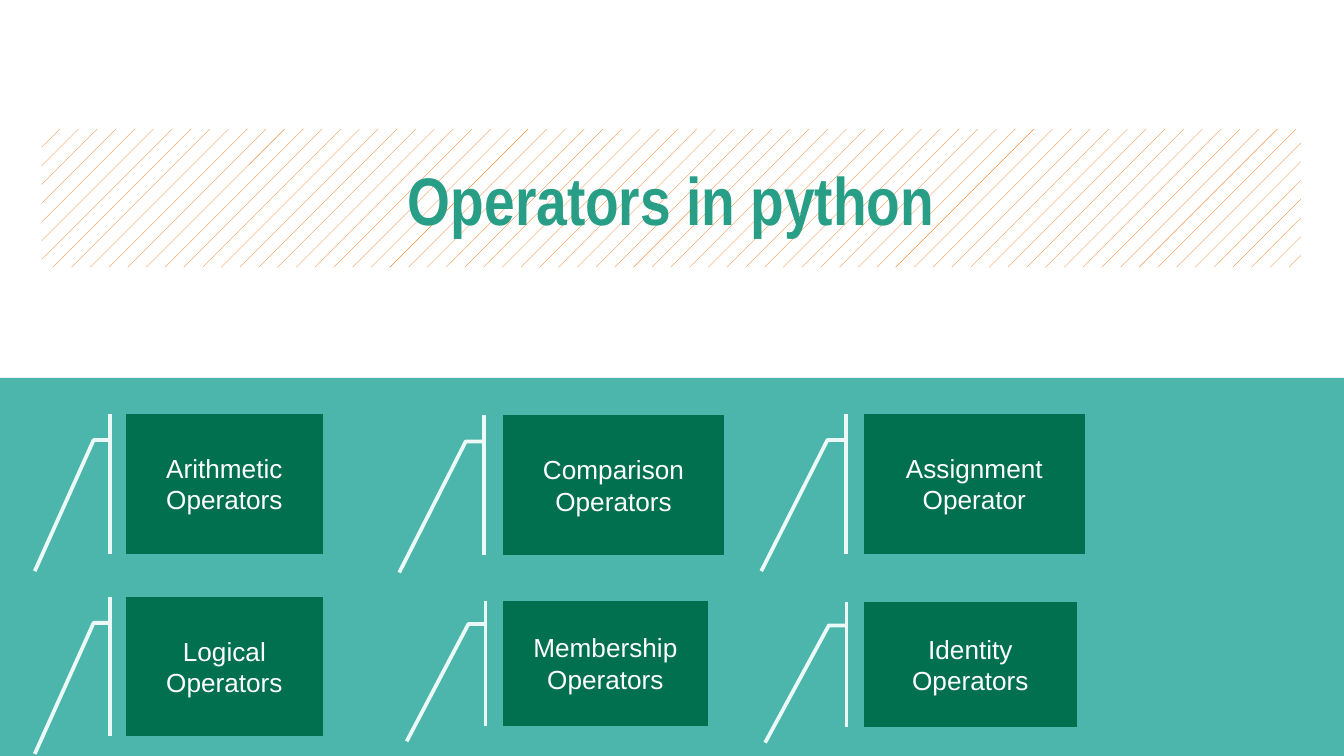
from pptx import Presentation
from pptx.dml.color import RGBColor
from pptx.enum import dml, shapes, text
from pptx.util import Inches, Pt

WHITE = RGBColor(0xFF, 0xFF, 0xFF)
TEAL = RGBColor(0x4D, 0xB6, 0xAC)
TITLE_GREEN = RGBColor(0x27, 0x9E, 0x85)
BOX_GREEN = RGBColor(0x00, 0x70, 0x4E)
PALE_MINT = RGBColor(0xEC, 0xFA, 0xF7)
ORANGE = RGBColor(0xEF, 0x6C, 0x00)

SLIDE_WIDTH = 10
SLIDE_HEIGHT = SLIDE_WIDTH * 9 / 16

TITLE = "Operators in python"
COLUMN_LEFTS = (0.94, 3.74, 6.43)
# Rows of operator kinds: paragraphs, top, width, height
OPERATOR_ROWS = [
    [
        (["Arithmetic", "Operators"], 3.08, 1.46, 1.04),
        (["Comparison Operators"], 3.09, 1.65, 1.04),
        (["Assignment Operator"], 3.08, 1.64, 1.04),
    ],
    [
        (["Logical Operators"], 4.44, 1.46, 1.04),
        (["Membership Operators"], 4.47, 1.53, 0.93),
        (["Identity Operators"], 4.48, 1.58, 0.93),
    ],
]


def add_box(slide, kind, left, top, width, height):
    """Add a preset shape without shadow or outline."""
    box = slide.shapes.add_shape(
        kind, Inches(left), Inches(top), Inches(width), Inches(height))
    box.shadow.inherit = False
    box.line.fill.background()
    return box


def write(box, paragraphs, font_name, size, color, bold=False):
    frame = box.text_frame
    frame.word_wrap = True
    frame.vertical_anchor = text.MSO_ANCHOR.MIDDLE
    for index, words in enumerate(paragraphs):
        paragraph = frame.add_paragraph() if index else frame.paragraphs[0]
        paragraph.alignment = text.PP_ALIGN.CENTER
        run = paragraph.add_run()
        run.text = words
        run.font.name = font_name
        run.font.size = Pt(size)
        run.font.bold = bold
        run.font.color.rgb = color


def main():
    prs = Presentation()
    prs.slide_width = Inches(SLIDE_WIDTH)
    prs.slide_height = Inches(SLIDE_HEIGHT)
    slide = prs.slides.add_slide(prs.slide_layouts[6])
    rectangle = shapes.MSO_SHAPE.RECTANGLE
    callout_kind = shapes.MSO_SHAPE.LINE_CALLOUT_2_ACCENT_BAR

    half = SLIDE_HEIGHT / 2
    lower_half = add_box(slide, rectangle, 0, half, SLIDE_WIDTH, half)
    lower_half.fill.solid()
    lower_half.fill.fore_color.rgb = TEAL

    title = add_box(slide, rectangle, 0.31, 0.96, 9.37, 1.03)
    title.fill.patterned()
    title.fill.pattern = dml.MSO_PATTERN.PERCENT_5
    title.fill.fore_color.rgb = ORANGE
    title.fill.back_color.rgb = WHITE
    write(title, [TITLE], "Arial Narrow", 36, TITLE_GREEN, bold=True)

    for row in OPERATOR_ROWS:
        for left, (paragraphs, top, width, height) in zip(COLUMN_LEFTS, row):
            callout = add_box(slide, callout_kind, left, top, width, height)
            callout.fill.solid()
            callout.fill.fore_color.rgb = BOX_GREEN
            callout.line.color.rgb = PALE_MINT
            callout.line.width = Pt(2)
            write(callout, paragraphs, "Arial", 14, WHITE)

    prs.save("out.pptx")


if __name__ == "__main__":
    main()
